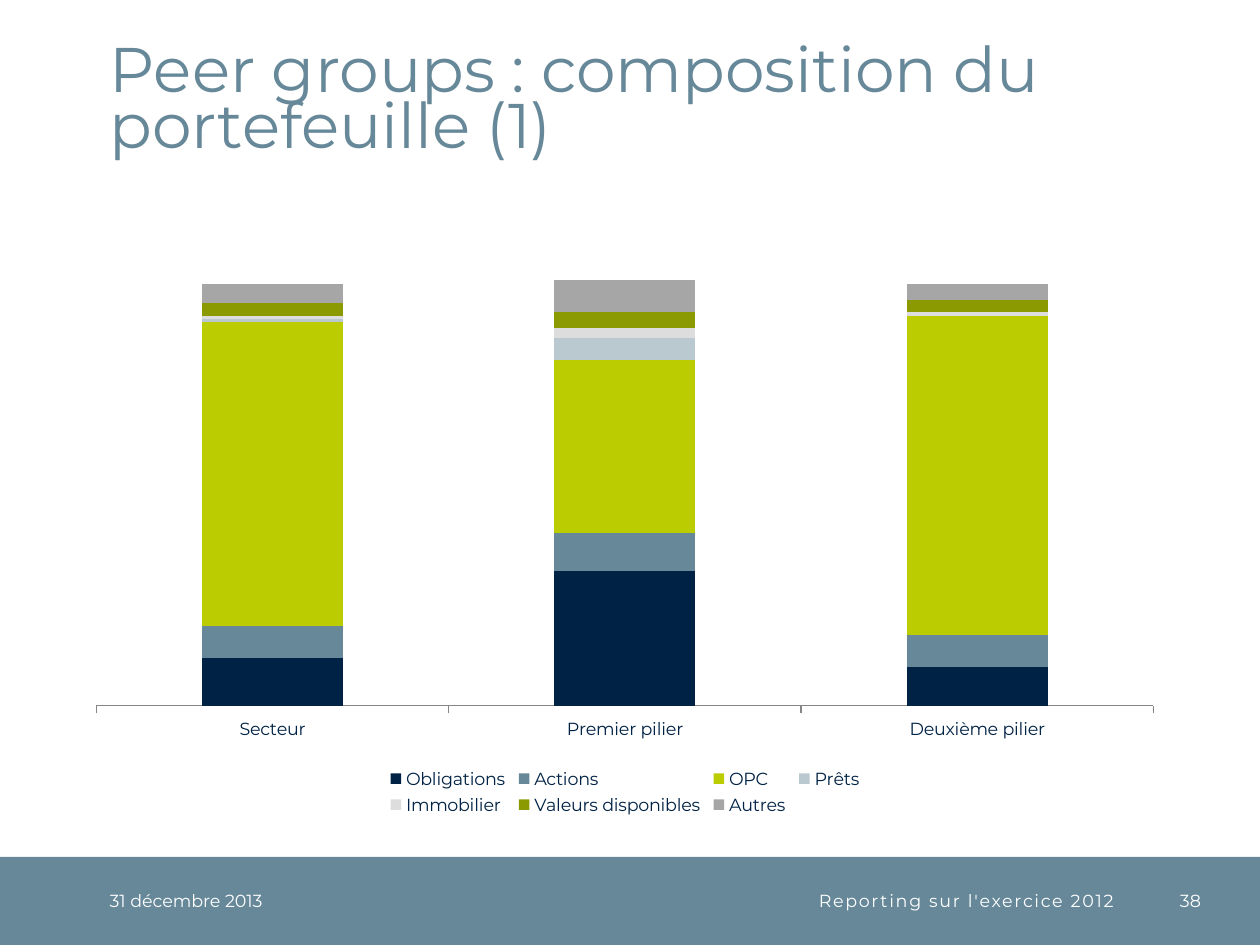
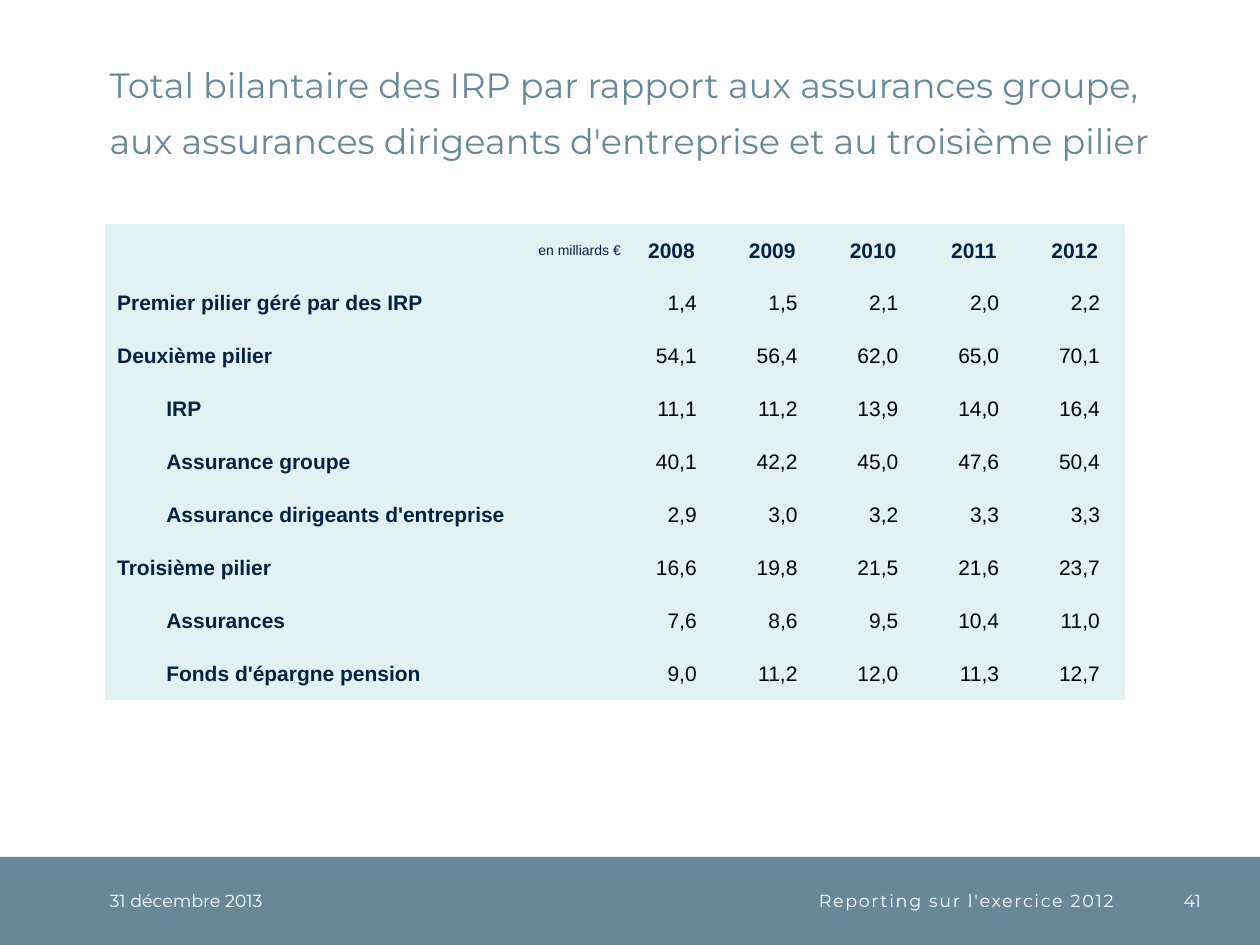
from lxml.etree import SubElement
from pptx import Presentation
from pptx.chart.data import CategoryChartData
from pptx.dml.color import RGBColor
from pptx.enum.chart import XL_CHART_TYPE as Chart, XL_LEGEND_POSITION as Legend, XL_TICK_MARK as Tick
from pptx.enum.chart import XL_TICK_LABEL_POSITION as TickLabel
from pptx.enum.shapes import MSO_SHAPE as Shape
from pptx.enum.text import MSO_ANCHOR as Anchor, PP_ALIGN as Align
from pptx.oxml.ns import qn
from pptx.util import Inches, Pt

COLORS = {
    "slate": "668899", "navy": "002244", "white": "FFFFFF", "black": "000000",
    "lime": "BBCC00", "mist": "BAC9D0", "light": "DDDDDD", "olive": "8B9A00",
    "grey": "A6A6A6", "axis": "868686", "table": "E2F2F2",
}
BRAND, PLAIN = "Montserrat", "Arial"

DATE = "31 décembre 2013"
REPORT = "Reporting sur l'exercice 2012"

PEER_GROUPS = ["Secteur", "Premier pilier", "Deuxième pilier"]
PORTFOLIO = [
    ("Obligations", "navy", (15, 42, 12)),
    ("Actions", "slate", (10, 12, 10)),
    ("OPC", "lime", (95, 54, 100)),
    ("Prêts", "mist", (1, 7, 0)),
    ("Immobilier", "light", (1, 3, 1)),
    ("Valeurs disponibles", "olive", (4, 5, 4)),
    ("Autres", "grey", (6, 11, 5)),
]
PORTFOLIO_MAX = 133

UNIT = "en milliards €"
YEARS = ["2008", "2009", "2010", "2011", "2012"]
BALANCE = [  # label, level, values by year
    ("Premier pilier géré par des IRP", 0, ["1,4", "1,5", "2,1", "2,0", "2,2"]),
    ("Deuxième pilier", 0, ["54,1", "56,4", "62,0", "65,0", "70,1"]),
    ("IRP", 1, ["11,1", "11,2", "13,9", "14,0", "16,4"]),
    ("Assurance groupe", 1, ["40,1", "42,2", "45,0", "47,6", "50,4"]),
    ("Assurance dirigeants d'entreprise", 1, ["2,9", "3,0", "3,2", "3,3", "3,3"]),
    ("Troisième pilier", 0, ["16,6", "19,8", "21,5", "21,6", "23,7"]),
    ("Assurances", 1, ["7,6", "8,6", "9,5", "10,4", "11,0"]),
    ("Fonds d'épargne pension", 1, ["9,0", "11,2", "12,0", "11,3", "12,7"]),
]

WIDTH, HEIGHT = 10, 7.5
MARGIN = 0.87
BAND_H = 0.7
BAND_TOP = HEIGHT - BAND_H
FOOTER = [  # left, width
    (MARGIN, 1.77), (2.64, 6.2), (9.04, 0.49),
]
LABEL_W, YEAR_W, ROW_H = 4.1, 0.8, 0.42
LABEL_INDENTS = (0.1, 0.49)


def rgb(name):
    return RGBColor.from_string(COLORS[name])


def box(left, top, width, height):
    return [Inches(v) for v in (left, top, width, height)]


def write(tf, text, size=10, color="white", font=BRAND, bold=False,
          align=Align.LEFT, line=None, spacing=0, indent=0):
    """Put one formatted paragraph in a text frame; line and spacing are in points."""
    p = tf.paragraphs[0]
    p.alignment = align
    if line:
        p.line_spacing = Pt(line)
    if indent:
        pPr = p._p.get_or_add_pPr()
        pPr.set("marL", str(Inches(indent)))
        pPr.set("indent", "0")
    r = p.add_run()
    r.text = text
    r.font.size, r.font.name, r.font.bold = Pt(size), font, bold
    r.font.color.rgb = rgb(color)
    if spacing:
        r.font._element.set("spc", str(spacing * 100))


def add_text(slide, place, text, anchor=Anchor.MIDDLE, **fmt):
    tf = slide.shapes.add_textbox(*box(*place)).text_frame
    tf.word_wrap = True
    tf.vertical_anchor = anchor
    tf.margin_left = tf.margin_right = tf.margin_top = tf.margin_bottom = 0
    write(tf, text, **fmt)


def add_slide(prs, title, title_size, number):
    """Add a blank slide with the shared title, band and footer."""
    slide = prs.slides.add_slide(prs.slide_layouts[6])
    band = slide.shapes.add_shape(Shape.RECTANGLE, *box(0, BAND_TOP, WIDTH, BAND_H))
    band.shadow.inherit = False
    band.fill.solid()
    band.fill.fore_color.rgb = rgb("slate")
    band.line.fill.background()
    add_text(slide, (MARGIN, 0.2, 8.63, 1.08), title, anchor=Anchor.BOTTOM,
             size=title_size, color="slate", line=32)
    formats = [{}, {"align": Align.RIGHT, "spacing": 1}, {"align": Align.RIGHT}]
    for (left, width), text, fmt in zip(FOOTER, (DATE, REPORT, str(number)), formats):
        add_text(slide, (left, BAND_TOP, width, BAND_H), text, **fmt)
    return slide


def set_layout(parent, index, inner=False, **shares):
    """Fix the place of a chart part, in shares of the chart's size."""
    for old in parent.findall(qn("c:layout")):
        parent.remove(old)
    layout = SubElement(parent, qn("c:layout"))
    parent.insert(index, layout)
    manual = SubElement(layout, qn("c:manualLayout"))
    settings = [("layoutTarget", "inner")] if inner else []
    settings += [("xMode", "edge"), ("yMode", "edge"), *shares.items()]
    for tag, value in settings:
        SubElement(manual, qn(f"c:{tag}")).set("val", str(value))


def add_portfolio_chart(slide):
    data = CategoryChartData()
    data.categories = PEER_GROUPS
    for name, _, values in PORTFOLIO:
        data.add_series(name, values)
    chart = slide.shapes.add_chart(
        Chart.COLUMN_STACKED, *box(0.59, 1.47, 8.74, 5.04), data).chart
    chart.has_title = False
    chart.font.name, chart.font.size = BRAND, Pt(10)
    chart.font.color.rgb = rgb("navy")

    plot = chart.plots[0]
    plot.gap_width, plot.overlap = 150, 100
    plot.vary_by_categories = False
    for series, (_, color, _) in zip(plot.series, PORTFOLIO):
        series.format.fill.solid()
        series.format.fill.fore_color.rgb = rgb(color)

    groups = chart.category_axis
    groups.major_tick_mark = Tick.OUTSIDE
    groups.tick_label_position = TickLabel.LOW
    groups.format.line.color.rgb = rgb("axis")
    groups.format.line.width = Pt(0.75)
    amounts = chart.value_axis
    amounts.minimum_scale, amounts.maximum_scale = 0, PORTFOLIO_MAX
    amounts.has_major_gridlines = False
    amounts.tick_labels.number_format = "0%"
    amounts.tick_labels.number_format_is_linked = False
    amounts.visible = False

    chart.has_legend = True
    chart.legend.position = Legend.BOTTOM
    chart.legend.include_in_layout = False
    set_layout(chart.element.find(".//" + qn("c:plotArea")), 0, inner=True,
               x=0.02, y=0.15, w=0.96, h=0.67)
    set_layout(chart.element.find(".//" + qn("c:legend")), 1,
               x=0.28, y=0.91, w=0.44, h=0.09)


def fill_cell(cell, text, right=0, **fmt):
    """Fill a cell without borders."""
    tcPr = cell._tc.get_or_add_tcPr()
    for side in ("lnL", "lnR", "lnT", "lnB"):
        SubElement(SubElement(tcPr, qn(f"a:{side}"), w="0"), qn("a:noFill"))
    cell.fill.solid()
    cell.fill.fore_color.rgb = rgb("table")
    cell.vertical_anchor = Anchor.MIDDLE
    cell.margin_left = cell.margin_top = cell.margin_bottom = 0
    cell.margin_right = Inches(right)
    write(cell.text_frame, text, font=PLAIN, **fmt)


def add_balance_table(slide):
    rows, cols = len(BALANCE) + 1, len(YEARS) + 1
    table = slide.shapes.add_table(rows, cols, *box(
        0.83, 1.78, LABEL_W + YEAR_W * len(YEARS), ROW_H * rows)).table
    table.first_row = table.horz_banding = False
    for i, col in enumerate(table.columns):
        col.width = Inches(YEAR_W if i else LABEL_W)
    for row in table.rows:
        row.height = Inches(ROW_H)

    heading = {"size": 12, "color": "navy", "bold": True}
    fill_cell(table.cell(0, 0), UNIT, size=8, color="navy", align=Align.RIGHT,
              indent=LABEL_INDENTS[0])
    for c, year in enumerate(YEARS, 1):
        fill_cell(table.cell(0, c), year, align=Align.CENTER, **heading)
    for r, (label, level, values) in enumerate(BALANCE, 1):
        fill_cell(table.cell(r, 0), label, indent=LABEL_INDENTS[level], **heading)
        for c, value in enumerate(values, 1):
            fill_cell(table.cell(r, c), value, right=0.2, size=12, color="black",
                      align=Align.RIGHT)


def main():
    prs = Presentation()
    prs.slide_width, prs.slide_height = Inches(WIDTH), Inches(HEIGHT)
    add_portfolio_chart(add_slide(
        prs, "Peer groups : composition du portefeuille (1)", 36, 38))
    add_balance_table(add_slide(
        prs, "Total bilantaire des IRP par rapport aux assurances groupe, "
        "aux assurances dirigeants d'entreprise et au troisième pilier", 20, 41))
    prs.save("out.pptx")


if __name__ == "__main__":
    main()
